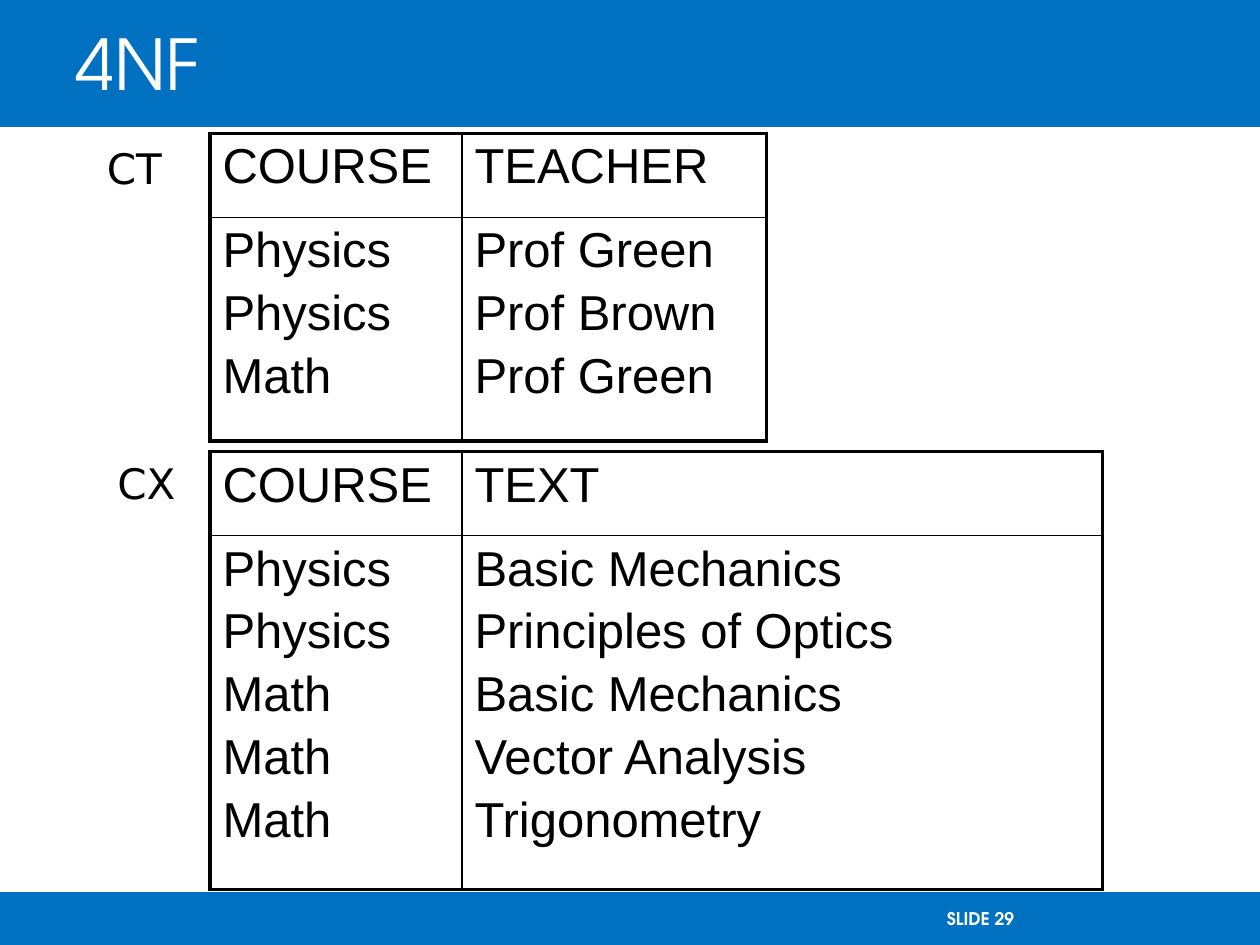
from pptx import Presentation
from pptx.dml.color import RGBColor
from pptx.enum.shapes import MSO_SHAPE
from pptx.enum.text import MSO_ANCHOR, MSO_AUTO_SIZE
from pptx.oxml.ns import qn
from pptx.util import Inches, Pt
from lxml.etree import SubElement

# Grid of 120 columns by 90 rows, twelve to the inch
COLUMNS, ROWS = 120, 90
BLUE, WHITE, BLACK = "0070C0", "FFFFFF", "000000"
HEADING_FONT, LABEL_FONT, TABLE_FONT = "TeX Gyre Adventor", "DejaVu Sans", "Arial"
OUTER_BORDER, INNER_BORDER = 2.25, 1


def grid(units):
    return Inches(units / 12)


def place(box):
    return [grid(units) for units in box]


def color(value):
    return RGBColor.from_string(value)


def style(paragraph, font_name, size, font_color, bold=False):
    for run in paragraph.runs:
        run.font.name = font_name
        run.font.size = Pt(size)
        run.font.bold = bold
        run.font.color.rgb = color(font_color)


def add_band(slide, box):
    band = slide.shapes.add_shape(MSO_SHAPE.RECTANGLE, *place(box))
    band.shadow.inherit = False
    band.fill.solid()
    band.fill.fore_color.rgb = color(BLUE)
    band.line.color.rgb = color(BLUE)
    band.line.width = Pt(0.75)


def add_text(slide, box, text, font_name, size, font_color, bold=False,
             anchor=MSO_ANCHOR.MIDDLE, wrap=True):
    frame = slide.shapes.add_textbox(*place(box)).text_frame
    frame.word_wrap = wrap
    frame.auto_size = MSO_AUTO_SIZE.NONE if wrap else MSO_AUTO_SIZE.SHAPE_TO_FIT_TEXT
    frame.vertical_anchor = anchor
    frame.text = text
    style(frame.paragraphs[0], font_name, size, font_color, bold)
    return frame


def set_borders(cell, widths):
    properties = cell._tc.get_or_add_tcPr()
    for position, (side, width) in enumerate(widths.items()):
        border = properties.makeelement(qn(f"a:{side}"), {"w": str(Pt(width))})
        fill = SubElement(border, qn("a:solidFill"))
        SubElement(fill, qn("a:srgbClr"), val=BLACK)
        properties.insert(position, border)


def fill_cell(cell, lines):
    cell.fill.background()
    cell.text_frame.text = "\n".join(lines)
    for index, paragraph in enumerate(cell.text_frame.paragraphs):
        if index:
            paragraph.space_before = Pt(4.7)
        style(paragraph, TABLE_FONT, 28, BLACK)


def add_relation(slide, left, top, widths, heights, columns):
    """Draw a relation: a heading row above one row that holds all the values."""
    box = place((left, top, sum(widths), sum(heights)))
    table = slide.shapes.add_table(len(heights), len(widths), *box).table
    table.first_row = table.horz_banding = False
    for row, height in zip(table.rows, heights):
        row.height = grid(height)

    last_column, last_row = len(widths) - 1, len(heights) - 1
    for c, (heading, values) in enumerate(columns.items()):
        table.columns[c].width = grid(widths[c])
        for r, lines in enumerate(([heading], values)):
            cell = table.cell(r, c)
            fill_cell(cell, lines)
            on_edge = {"lnL": c == 0, "lnR": c == last_column,
                       "lnT": r == 0, "lnB": r == last_row}
            set_borders(cell, {side: OUTER_BORDER if edge else INNER_BORDER
                               for side, edge in on_edge.items()})


def add_label(slide, box, text):
    add_text(slide, box, text, LABEL_FONT, 24, BLACK,
             anchor=MSO_ANCHOR.TOP, wrap=False)


def add_header(slide, box, title):
    left, top, width, height = box
    add_band(slide, box)
    add_text(slide, (left + 6, top, width - 12, height), title,
             HEADING_FONT, 40, WHITE)


def add_footer(slide, box, text):
    left, top, width, height = box
    add_band(slide, box)
    number = add_text(slide, (left + 89, top, 25, height), text,
                      HEADING_FONT, 10, WHITE, bold=True)
    number.margin_right = 0


def main():
    presentation = Presentation()
    presentation.slide_width = grid(COLUMNS)
    presentation.slide_height = grid(ROWS)
    slide = presentation.slides.add_slide(presentation.slide_layouts[6])

    # Blue bands with the title and the slide number
    add_header(slide, (0, 0, COLUMNS, 12), "4NF")
    add_footer(slide, (0, ROWS - 5, COLUMNS, 5), "SLIDE 29")

    # Courses and their teachers
    add_relation(slide, 20, 12.7, (24, 29), (8, 21.3), {
        "COURSE": ["Physics", "Physics", "Math"],
        "TEACHER": ["Prof Green", "Prof Brown", "Prof Green"],
    })
    add_label(slide, (9, 13, 7.7, 6), "CT")

    # Courses and their texts
    add_relation(slide, 20, 43, (24, 61), (8, 33.7), {
        "COURSE": ["Physics", "Physics", "Math", "Math", "Math"],
        "TEXT": ["Basic Mechanics", "Principles of Optics", "Basic Mechanics",
                 "Vector Analysis", "Trigonometry"],
    })
    add_label(slide, (10, 43, 7.9, 6), "CX")

    presentation.save("out.pptx")


if __name__ == "__main__":
    main()
